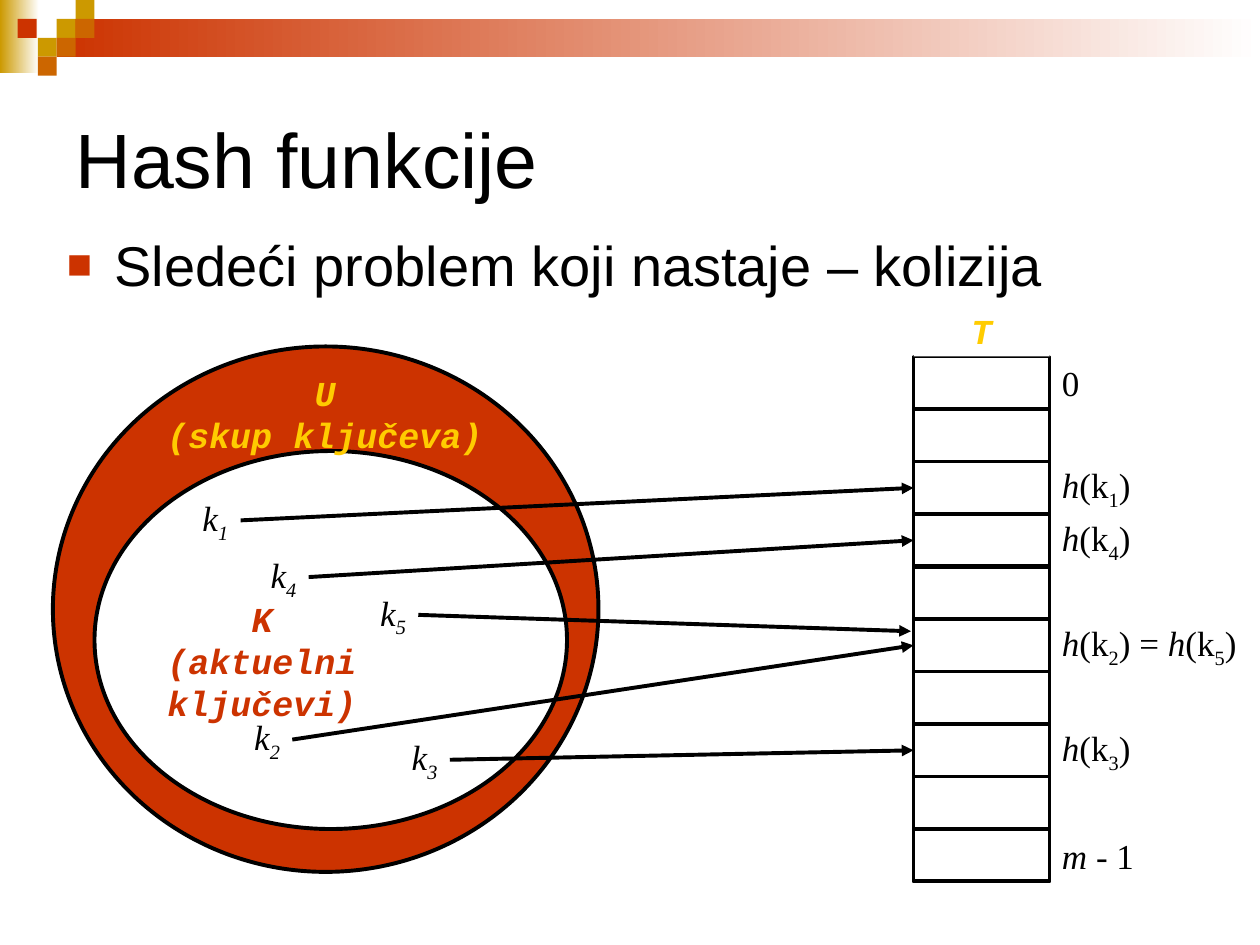
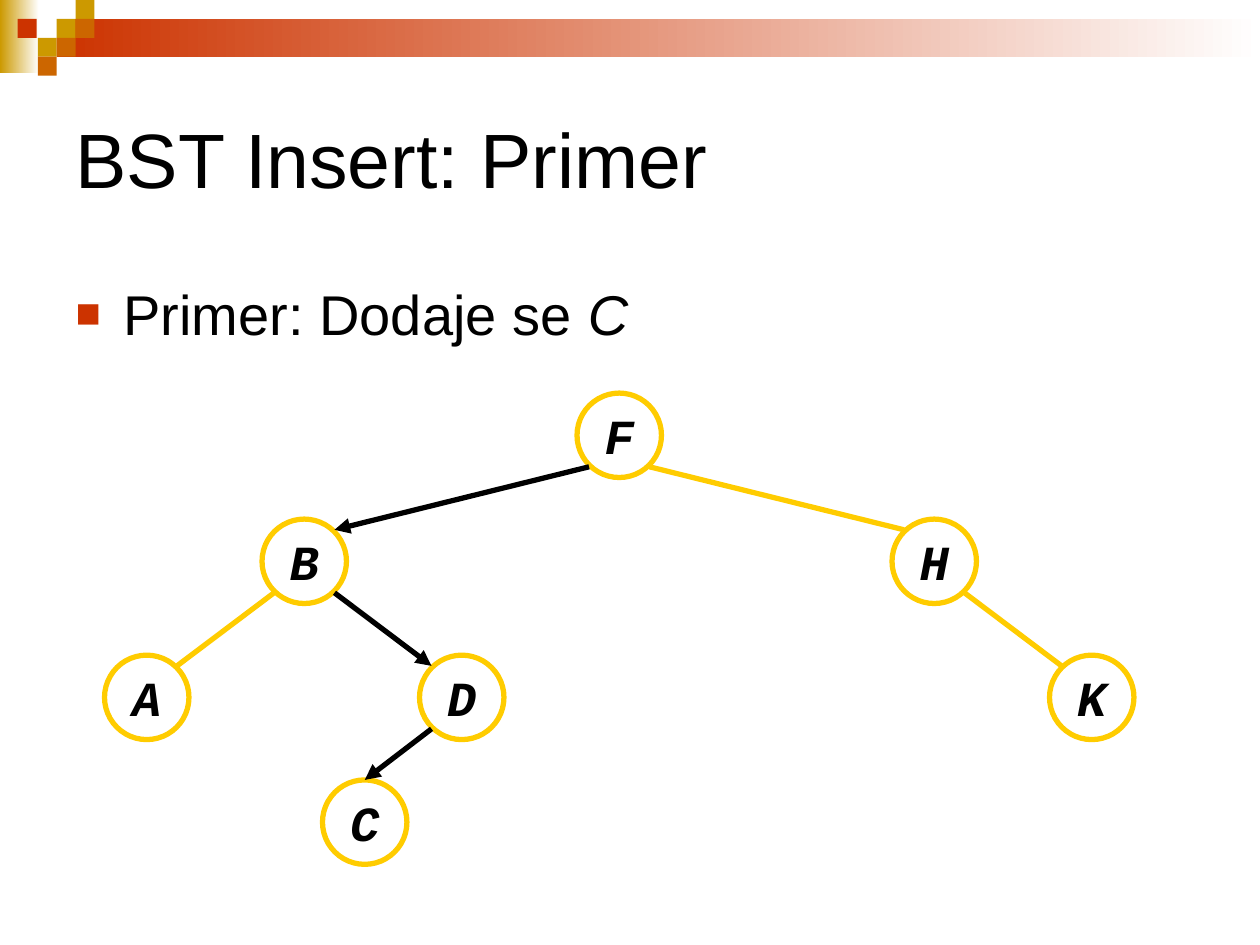
import pptx
import pptx.dml.color
import pptx.enum.shapes
import pptx.enum.text
import pptx.oxml
import pptx.oxml.ns
import pptx.util
import lxml.etree

Inches = pptx.util.Inches
Pt = pptx.util.Pt
ANCHOR = pptx.enum.text.MSO_ANCHOR
ALIGN = pptx.enum.text.PP_ALIGN
SHAPE = pptx.enum.shapes.MSO_SHAPE
qn = pptx.oxml.ns.qn

# Shared look
COLORS = {"black": "000000", "white": "FFFFFF", "red": "CC3300",
          "yellow": "FFCC00", "gold": "CC9900", "orange": "CC6600"}
SANS, SERIF, MONO = "Arial", "Times New Roman", "Courier New"

BANDS = [((0, 0, 0.31, 0.58), "gold"), ((0.45, 0.15, 9.55, 0.3), "red")]
MOSAIC_SIDE = 0.15
MOSAIC = [(0.45, 0.15, "gold"), (0.6, 0, "gold"), (0.6, 0.15, "orange"),
          (0.3, 0.3, "gold"), (0.14, 0.15, "red"), (0.45, 0.3, "orange"),
          (0.3, 0.45, "orange")]
TITLE_BOX = (0.5, 0.5, 9, 1.5)

# Hash slide content: runs are (text, style), i = italic, s = subscript
HASH_TITLE = "Hash funkcije"
HASH_BODY_BOX = (0.43, 1.78, 9, 0.89)
HASH_BODY = [("Sledeći problem koji nastaje – kolizija", "")]
UNIVERSE_BOX = (0.42, 2.75, 4.33, 4.17)
ACTUAL_KEYS_BOX = (0.75, 3.58, 3.75, 3)
SET_LABELS = [  # box, lines, colour, wrap
    ((1.23, 2.9, 2.7, 0.77), ["U", "(skup ključeva)"], "yellow", False),
    ((0.83, 4.69, 2.5, 1.1), ["K", "(aktuelni ključevi)"], "red", True),
]
KEYS = {  # key number: left, top, table row
    "1": (1.51, 3.89, 2), "4": (2.05, 4.34, 3), "5": (2.92, 4.64, 5),
    "2": (1.92, 5.63, 5), "3": (3.17, 5.79, 7),
}
UPPER_HIT = {"5": (7.23, 5.01)}  # shares its row with key 2
KEY_SIZE = (0.4, 0.48)
SLOT_LEFT, SLOT_TOP, SLOT_WIDTH, SLOT_HEIGHT = 7.25, 2.83, 1.08, 5 / 12
SLOT_COUNT = 10

# Tree slide content
TREE_TITLE = "BST Insert: Primer"
TREE_BODY_BOX = (0.5, 2.17, 9, 4.25)
TREE_BODY = [("Primer: Dodaje se ", ""), ("C", "i")]
NODE_SIDE = 0.67
NODES = {"F": (4.58, 3.12), "B": (2.08, 4.12), "H": (7.08, 4.12),
         "K": (8.33, 5.2), "D": (3.33, 5.2), "A": (0.83, 5.2), "C": (2.56, 6.19)}
EDGES = [("B", "A"), ("F", "H"), ("H", "K")]
SEARCH_STEPS = [("F", "B"), ("B", "D"), ("D", "C")]
RIM_X, RIM_Y = 0.24, 0.25  # centre to the point where an edge meets a node


def rgb(name):
    return pptx.dml.color.RGBColor.from_string(COLORS[name])


def place(shape, box):
    shape.left, shape.top, shape.width, shape.height = map(Inches, box)


def hash_runs(key):
    return [("h", "i"), ("(k", ""), (key, "s"), (")", "")]


def add_runs(paragraph, runs, size, font_name, color, bold=False):
    for text, style in runs:
        run = paragraph.add_run()
        run.text = text
        run.font.size = Pt(size)
        run.font.name = font_name
        run.font.color.rgb = rgb(color)
        run.font.bold = bold
        run.font.italic = "i" in style
        if "s" in style:
            run.font._element.set("baseline", "-25000")


def write(shape, lines, size, font_name, color, bold=False, align=ALIGN.CENTER, wrap=False):
    frame = shape.text_frame
    frame.word_wrap = wrap
    frame.auto_size = pptx.enum.text.MSO_AUTO_SIZE.NONE
    frame.vertical_anchor = ANCHOR.MIDDLE
    paragraph = frame.paragraphs[0]
    paragraph.alignment = align
    for index, runs in enumerate(lines):
        if index:
            paragraph.add_line_break()
        add_runs(paragraph, runs, size, font_name, color, bold)


def add_figure(shapes, kind, box, fill, line=None, width=2.25):
    shape = shapes.add_shape(kind, *map(Inches, box))
    shape.shadow.inherit = False
    shape.fill.solid()
    shape.fill.fore_color.rgb = rgb(fill)
    if line:
        shape.line.color.rgb = rgb(line)
        shape.line.width = Pt(width)
    else:
        shape.line.fill.background()
    return shape


def add_line(slide, start, end, color, width, arrow=False):
    connector = slide.shapes.add_connector(
        pptx.enum.shapes.MSO_CONNECTOR.STRAIGHT, *map(Inches, (*start, *end)))
    connector.line.color.rgb = rgb(color)
    connector.line.width = Pt(width)
    properties = connector.element.spPr
    if arrow:
        line = properties.find(qn("a:ln"))
        lxml.etree.SubElement(line, qn("a:tailEnd"), type="triangle")
    lxml.etree.SubElement(properties, qn("a:effectLst"))
    return connector


def add_bullet(paragraph):
    properties = paragraph._p.get_or_add_pPr()
    properties.set("marL", str(Inches(0.38)))
    properties.set("indent", str(-Inches(0.38)))
    color = lxml.etree.SubElement(properties, qn("a:buClr"))
    lxml.etree.SubElement(color, qn("a:srgbClr"), val=COLORS["red"])
    lxml.etree.SubElement(properties, qn("a:buSzPct"), val="75000")
    lxml.etree.SubElement(properties, qn("a:buFont"), typeface=SANS)
    lxml.etree.SubElement(properties, qn("a:buChar"), char="■")
    paragraph.space_before = Pt(0)


def add_slide(presentation, title, body_box, body_runs):
    slide = presentation.slides.add_slide(presentation.slide_layouts[1])
    place(slide.shapes.title, TITLE_BOX)
    write(slide.shapes.title, [[(title, "")]], 44, SANS, "black", align=ALIGN.LEFT, wrap=True)
    body = slide.placeholders[1]
    place(body, body_box)
    body.text_frame.auto_size = pptx.enum.text.MSO_AUTO_SIZE.NONE
    body.text_frame.vertical_anchor = ANCHOR.TOP
    paragraph = body.text_frame.paragraphs[0]
    add_bullet(paragraph)
    add_runs(paragraph, body_runs, 32, SANS, "black")
    return slide


def decorate_master(presentation, slide):
    """Draw the header once and move it to the slide master."""
    header = slide.shapes.add_group_shape()
    for box, color in BANDS:
        band = add_figure(header.shapes, SHAPE.RECTANGLE, box, color)
        band.fill.gradient()
        band.fill.gradient_angle = 0
        for stop, stop_color in zip(band.fill.gradient_stops, (color, "white")):
            stop.color.rgb = rgb(stop_color)
    for left, top, color in MOSAIC:
        add_figure(header.shapes, SHAPE.RECTANGLE, (left, top, MOSAIC_SIDE, MOSAIC_SIDE), color)
    for number, properties in enumerate(header.element.xpath(".//p:cNvPr"), 100):
        properties.set("id", str(number))
    presentation.slide_master.shapes.element.insert(2, header.element)


def draw_hash_table(slide):
    # Key sets
    for box, fill in ((UNIVERSE_BOX, "red"), (ACTUAL_KEYS_BOX, "white")):
        add_figure(slide.shapes, SHAPE.OVAL, box, fill, "black")

    # Table slots, drawn from the bottom up, then the heading above them
    def slot_box(row, left=SLOT_LEFT):
        return left, SLOT_TOP + row * SLOT_HEIGHT, SLOT_WIDTH, SLOT_HEIGHT

    slots = {row: add_figure(slide.shapes, SHAPE.RECTANGLE, slot_box(row), "white", "black")
             for row in reversed(range(SLOT_COUNT))}
    heading = add_figure(slide.shapes, SHAPE.RECTANGLE, slot_box(-1), "white")
    write(heading, [[("T", "i")]], 20, MONO, "yellow", bold=True)

    # Slot labels; keys that collide are joined by an equals sign
    slot_labels = {0: [("0", "")], SLOT_COUNT - 1: [("m", "i"), (" - 1", "")]}
    for key, (_, _, row) in sorted(KEYS.items()):
        runs = hash_runs(key)
        if row in slot_labels:
            runs = slot_labels[row][:-1] + [(") = ", "")] + runs
        slot_labels[row] = runs
    for row, runs in slot_labels.items():
        box = slot_box(row, SLOT_LEFT + SLOT_WIDTH)
        label = slide.shapes.add_textbox(*map(Inches, box))
        write(label, [runs], 20, SERIF, "black", align=ALIGN.LEFT)

    # Set names
    for box, lines, color, wrap in SET_LABELS:
        label = slide.shapes.add_textbox(*map(Inches, box))
        write(label, [[(line, "i")] for line in lines], 20, MONO, color, bold=True, wrap=wrap)

    # Keys and their arrows
    for key, (left, top, row) in KEYS.items():
        label = slide.shapes.add_textbox(*map(Inches, (left, top, *KEY_SIZE)))
        write(label, [[("k", "i"), (key, "is")]], 20, SERIF, "black")
        end = UPPER_HIT.get(key, (SLOT_LEFT, top))
        arrow = add_line(slide, (left, top), end, "black", 2.25, arrow=True)
        arrow.begin_connect(label, 3)
        if key not in UPPER_HIT:
            arrow.end_connect(slots[row], 1)


def draw_tree(slide):
    # Nodes
    ovals = {}
    for name, (left, top) in NODES.items():
        box = (left, top, NODE_SIDE, NODE_SIDE)
        ovals[name] = add_figure(slide.shapes, SHAPE.OVAL, box, "white", "yellow", 3)
        write(ovals[name], [[(name, "i")]], 28, MONO, "black", bold=True)

    # Edges run from the lower rim of the parent to the upper rim of the child
    def connect(parent, child, color, arrow):
        (x1, y1), (x2, y2) = ((left + NODE_SIDE / 2, top + NODE_SIDE / 2)
                              for left, top in (NODES[parent], NODES[child]))
        side = RIM_X if x2 > x1 else -RIM_X
        return add_line(slide, (x1 + side, y1 + RIM_Y), (x2 - side, y2 - RIM_Y),
                        color, 3, arrow)

    for parent, child in EDGES:
        connect(parent, child, "yellow", False)
    for parent, child in SEARCH_STEPS:
        arrow = connect(parent, child, "black", True)
    arrow.end_connect(ovals["C"], 0)  # the new node is reached from above


def main():
    presentation = pptx.Presentation()
    presentation.slide_width = Inches(10)
    presentation.slide_height = Inches(7.5)
    hash_slide = add_slide(presentation, HASH_TITLE, HASH_BODY_BOX, HASH_BODY)
    decorate_master(presentation, hash_slide)
    draw_hash_table(hash_slide)
    draw_tree(add_slide(presentation, TREE_TITLE, TREE_BODY_BOX, TREE_BODY))
    presentation.save("out.pptx")


if __name__ == "__main__":
    main()
